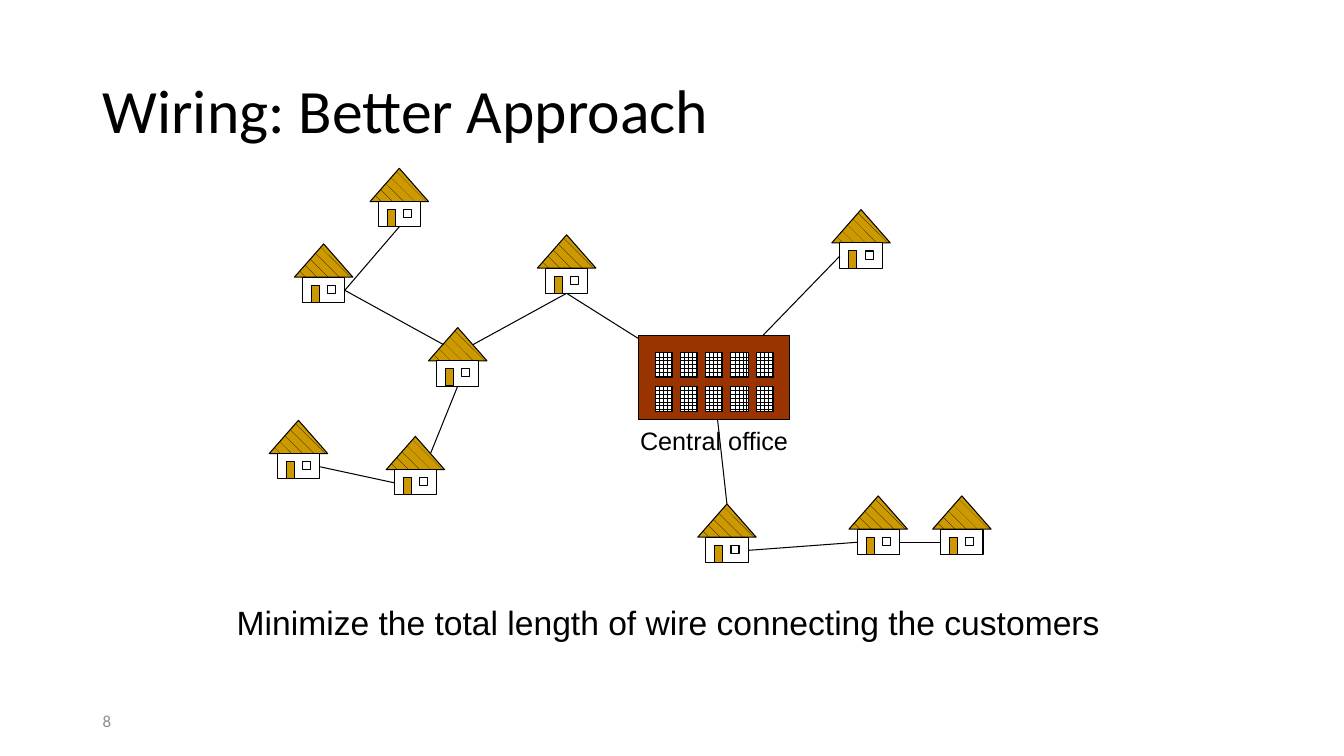
from lxml.etree import SubElement
from pptx import Presentation
from pptx.dml.color import RGBColor
from pptx.enum.dml import MSO_PATTERN
from pptx.enum.shapes import MSO_CONNECTOR, MSO_SHAPE
from pptx.enum.text import MSO_ANCHOR
from pptx.oxml.ns import qn
from pptx.util import Inches, Pt

BLACK, WHITE, GOLD, BRICK, GREY = "000000", "FFFFFF", "CC9900", "993300", "8C8C8C"
LINE_WIDTH = Pt(0.75)

HOUSES = {
    "west": (2.67, 4.17),
    "south": (6.92, 5),
    "north": (5.33, 2.33),
    "northeast": (8.25, 2.08),
    "hub": (4.25, 3.25),
    "northwest": (2.92, 2.42),
    "far north": (3.67, 1.67),
    "southwest": (3.83, 4.33),
    "far southeast": (9.25, 4.92),
    "southeast": (8.42, 4.92),
}
# Points where a wire can meet a house, measured from its top left corner
HOUSE_ANCHORS = {
    "top": (0.29, 0),
    "bottom": (0.29, 0.58),
    "left wall": (0.08, 0.46),
    "right wall": (0.5, 0.46),
    "left roof": (0.15, 0.17),
    "right roof": (0.44, 0.17),
}
OFFICE = (6.33, 3.33)
OFFICE_CENTRE = (7.08, 3.83)
OFFICE_WIRES = [("northeast", "left wall"), ("south", "top"), ("north", "bottom")]
HOUSE_WIRES = [
    (("north", "bottom"), ("hub", "right roof")),
    (("hub", "left roof"), ("northwest", "right wall")),
    (("northwest", "right wall"), ("far north", "bottom")),
    (("hub", "bottom"), ("southwest", "right roof")),
    (("southwest", "left wall"), ("west", "right wall")),
    (("south", "right wall"), ("southeast", "left wall")),
    (("southeast", "right wall"), ("far southeast", "left wall")),
]


def color(hex_string):
    return RGBColor.from_string(hex_string)


def add_part(shapes, box, fill=None, pattern=None, kind=MSO_SHAPE.RECTANGLE):
    """Add one outlined part of a building; a pattern is drawn in black over the fill."""
    part = shapes.add_shape(kind, *map(Inches, box))
    part.shadow.inherit = False
    part.line.color.rgb = color(BLACK)
    part.line.width = LINE_WIDTH
    if pattern is not None:
        part.fill.patterned()
        part.fill.pattern = pattern
        part.fill.fore_color.rgb = color(BLACK)
        part.fill.back_color.rgb = color(fill)
    elif fill:
        part.fill.solid()
        part.fill.fore_color.rgb = color(fill)
    else:
        part.fill.background()


def add_house(slide, left, top):
    house = slide.shapes.add_group_shape().shapes
    add_part(house, (left, top, 0.58, 0.33), GOLD, MSO_PATTERN.SHINGLE,
             MSO_SHAPE.ISOSCELES_TRIANGLE)
    add_part(house, (left + 0.08, top + 0.33, 0.42, 0.25), WHITE)
    add_part(house, (left + 0.17, top + 0.41, 0.08, 0.17), GOLD)
    add_part(house, (left + 0.33, top + 0.41, 0.08, 0.08))


def add_office(slide, left, top):
    office = slide.shapes.add_group_shape().shapes
    add_part(office, (left, top, 1.5, 0.83), BRICK)
    for row in range(2):
        for column in range(5):
            window = (left + 0.17 + 0.25 * column, top + 0.17 + 0.33 * row, 0.17, 0.25)
            add_part(office, window, WHITE, MSO_PATTERN.LARGE_GRID)


def house_point(house, anchor):
    left, top = HOUSES[house]
    dx, dy = HOUSE_ANCHORS[anchor]
    return left + dx, top + dy


def add_wire(slide, start, end):
    wire = slide.shapes.add_connector(MSO_CONNECTOR.STRAIGHT, *map(Inches, start + end))
    wire.line.color.rgb = color(BLACK)
    wire.line.width = LINE_WIDTH
    SubElement(wire._element.spPr, qn("a:effectLst"))


def add_text(slide, box, text, size, font="Arial", ink=BLACK,
             anchor=MSO_ANCHOR.TOP, wrap=True, line_spacing=None):
    frame = slide.shapes.add_textbox(*map(Inches, box)).text_frame
    frame.word_wrap = wrap
    frame.vertical_anchor = anchor
    paragraph = frame.paragraphs[0]
    paragraph.text = text
    paragraph.line_spacing = line_spacing
    paragraph.font.size = Pt(size)
    paragraph.font.name = font
    paragraph.font.color.rgb = color(ink)


def add_network(slide):
    """Draw the houses, the wires between them and the office on top."""
    for corner in HOUSES.values():
        add_house(slide, *corner)
    for house_end in OFFICE_WIRES:
        add_wire(slide, OFFICE_CENTRE, house_point(*house_end))
    for start, end in HOUSE_WIRES:
        add_wire(slide, house_point(*start), house_point(*end))
    add_office(slide, *OFFICE)
    left, top = OFFICE
    add_text(slide, (left - 0.08, top + 0.84, 1.67, 0.4), "Central office", 18, wrap=False)


def main():
    presentation = Presentation()
    presentation.slide_width = Inches(13.33)
    presentation.slide_height = Inches(7.5)
    slide = presentation.slides.add_slide(presentation.slide_layouts[6])
    add_text(slide, (0.92, 0.4, 11.5, 1.45), "Wiring: Better Approach", 44, "Calibri",
             anchor=MSO_ANCHOR.MIDDLE, line_spacing=0.9)
    add_network(slide)
    add_text(slide, (2.25, 5.92, 8.8, 0.5),
             "Minimize the total length of wire connecting the customers", 24)
    add_text(slide, (0.92, 6.95, 3, 0.4), "8", 12, "Calibri", GREY, MSO_ANCHOR.MIDDLE)
    presentation.save("out.pptx")


if __name__ == "__main__":
    main()
